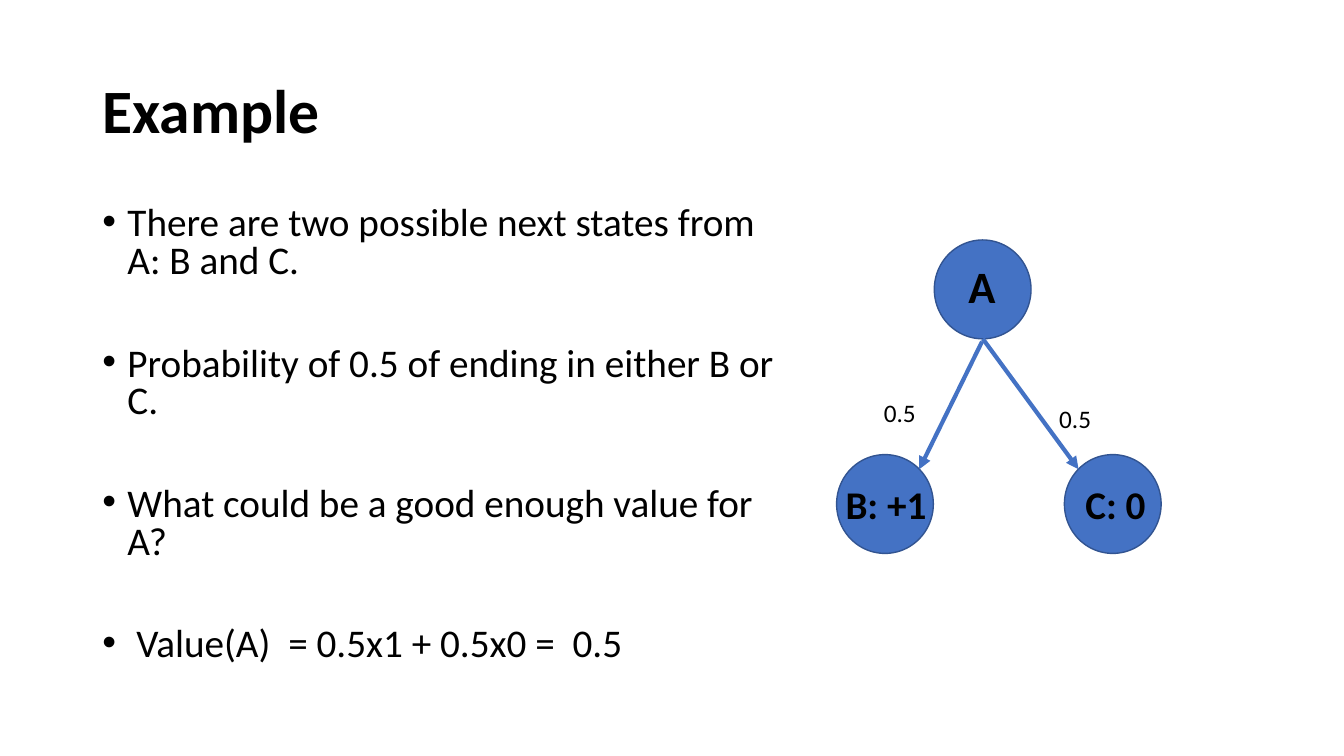
from lxml import etree
from pptx import Presentation
from pptx.dml.color import RGBColor
from pptx.enum.shapes import MSO_CONNECTOR, MSO_SHAPE
from pptx.enum.text import MSO_ANCHOR
from pptx.oxml.ns import qn
from pptx.util import Pt

OVAL = MSO_SHAPE.OVAL
STRAIGHT = MSO_CONNECTOR.STRAIGHT
TOP, MIDDLE = MSO_ANCHOR.TOP, MSO_ANCHOR.MIDDLE
BLACK = RGBColor(0x00, 0x00, 0x00)
BLUE = RGBColor(0x44, 0x72, 0xC4)
OUTLINE = RGBColor(0x32, 0x54, 0x91)

deck = Presentation()
deck.slide_width, deck.slide_height = Pt(960), Pt(540)
slide = deck.slides.add_slide(deck.slide_layouts[6])


def set_font(font, size, bold=False):
    for attribute, value in {"name": "Calibri", "size": Pt(size), "bold": bold}.items():
        setattr(font, attribute, value)
    font.color.rgb = BLACK


def add_text(lines, left, top, width, height, size, bold=False, wrap=False, anchor=TOP):
    box = slide.shapes.add_textbox(Pt(left), Pt(top), Pt(width), Pt(height))
    frame = box.text_frame
    frame.word_wrap = wrap
    frame.vertical_anchor = anchor
    frame.text = "\n".join(lines)
    for paragraph in frame.paragraphs:
        set_font(paragraph.runs[0].font, size, bold)
    return frame.paragraphs


heading = add_text(["Example"], 66, 28.8, 828, 104.4, 44, True, True, MIDDLE)
heading[0].line_spacing = 0.9

statements = add_text(
    [
        "There are two possible next states from A: B and C.",
        "Probability of 0.5 of ending in either B or C.",
        "What could be a good enough value for A?",
        " Value(A)  = 0.5x1 + 0.5x0 =  0.5",
    ],
    66, 144, 510, 342.7, 28, wrap=True,
)
for index, statement in enumerate(statements):
    statement.line_spacing = 0.8
    statement.space_before = Pt(46.5 if index else 0)
    properties = statement._p.get_or_add_pPr()
    properties.set("marL", str(Pt(18)))
    properties.set("indent", str(Pt(-18)))
    etree.SubElement(properties, qn("a:buFont"), typeface="Arial")
    etree.SubElement(properties, qn("a:buChar"), char="•")

for left, top in [(667.4, 171.4), (597.6, 324.7), (760.3, 324.7)]:
    state = slide.shapes.add_shape(OVAL, Pt(left), Pt(top), Pt(69.1), Pt(70.6))
    state.shadow.inherit = False
    state.fill.solid()
    state.fill.fore_color.rgb = BLUE
    state.line.color.rgb = OUTLINE
    state.line.width = Pt(1)

for start_x, start_y, end_x, end_y in [(702, 242, 770.4, 335.2), (701.5, 244, 656.6, 335.2)]:
    transition = slide.shapes.add_connector(
        STRAIGHT, Pt(start_x), Pt(start_y), Pt(end_x), Pt(end_y)
    )
    transition.line.color.rgb = BLUE
    transition.line.width = Pt(3)
    etree.SubElement(transition.line._get_or_add_ln(), qn("a:tailEnd"), type="triangle")
    etree.SubElement(transition._element.spPr, qn("a:effectLst"))

for label, left, top, width, height, size, bold in [
    ("0.5", 624.2, 280.1, 37.4, 29, 18, False),
    ("0.5", 749.5, 284.4, 37.4, 29, 18, False),
    ("A", 684.7, 181.4, 33.8, 46, 32, True),
    ("B: +1", 596.9, 339.8, 73.4, 41, 28, True),
    ("C: 0", 768.2, 339.8, 58.3, 41, 28, True),
]:
    add_text([label], left, top, width, height, size, bold)

deck.save("out.pptx")
